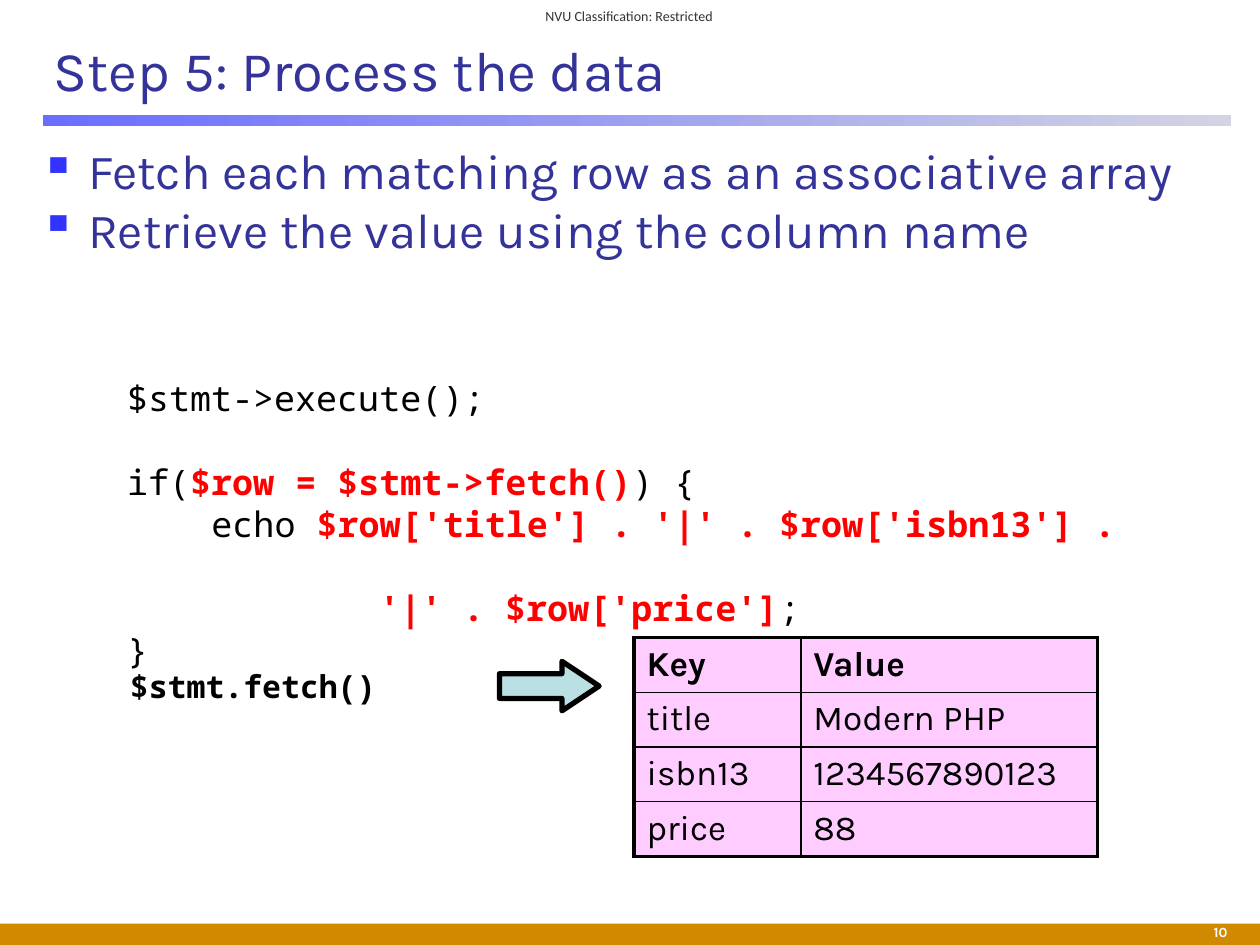
from pptx import Presentation
from pptx.dml.color import RGBColor as RGB
from pptx.enum.shapes import MSO_SHAPE as SHAPE
from pptx.enum.text import MSO_ANCHOR as ANCHOR, PP_ALIGN as ALIGN
from pptx.oxml.ns import qn
from pptx.util import Inches, Pt
from lxml.etree import SubElement as Sub

W, H = Inches(10), Inches(7.5)
INK = {"title": "333399", "bullet": "3333FF", "code": "000000", "hot": "FF0000",
       "foot": "D18A00", "white": "FFFFFF", "mark": "333333", "cell": "FFCCFF",
       "arrow": "BBE0E3", "rule": "6B6EFD", "fade": "D2D3E3"}
SANS, MONO = "Karla", "Noto Sans Mono"
THICK, THIN = 2.25, 1


def area(x, y, w, h):
    """Box from percentages of the slide's size."""
    return [int(W * x / 100), int(H * y / 100), int(W * w / 100), int(H * h / 100)]


def part(box, x, y, w, h):
    """Box inside a box, from percentages of the outer one."""
    left, top, wide, high = box
    return [int(left + wide * x / 100), int(top + high * y / 100),
            int(wide * w / 100), int(high * h / 100)]


def color(name):
    return RGB.from_string(INK[name])


def write(para, text, font=SANS, size=20, ink="code", bold=False):
    run = para.add_run()
    run.text = text
    run.font.name, run.font.size, run.font.bold = font, Pt(size), bold
    run.font.color.rgb = color(ink)


def frame(slide, box, anchor=ANCHOR.TOP, pad=0.05):
    text = slide.shapes.add_textbox(*box).text_frame
    text.word_wrap = True
    text.vertical_anchor = anchor
    text.margin_top = text.margin_bottom = Inches(pad)
    return text


def label(slide, box, text, align=ALIGN.LEFT, anchor=ANCHOR.MIDDLE, pad=0.05, **look):
    para = frame(slide, box, anchor, pad).paragraphs[0]
    para.alignment = align
    write(para, text, **look)
    return para


def lines(text, count):
    """Yield the first paragraph, then new ones."""
    yield text.paragraphs[0]
    for _ in range(count - 1):
        yield text.add_paragraph()


def block(slide, kind, box, ink=None):
    shape = slide.shapes.add_shape(kind, *box)
    shape.shadow.inherit = False
    shape.line.fill.background()
    if ink:
        shape.fill.solid()
        shape.fill.fore_color.rgb = color(ink)
    return shape


def header(slide, box):
    # Classification mark
    label(slide, part(box, 41.8, 0, 16.3, 25), "NVU Classification: Restricted",
          align=ALIGN.CENTER, pad=0, font="Calibri", size=8, ink="mark")
    # Fading rule
    rule = block(slide, SHAPE.RECTANGLE, part(box, 3.4, 91, 94.3, 9))
    rule.fill.gradient()
    rule.fill.gradient_angle = 0
    for stop, ink in zip(rule.fill.gradient_stops, ("rule", "fade")):
        stop.color.rgb = color(ink)
    # Title
    label(slide, part(box, 3.3, 17, 94.2, 75), "Step 5: Process the data",
          size=32, ink="title")


def points(slide, box, items):
    text = frame(slide, box)
    for para, item in zip(lines(text, len(items)), items):
        props = para._p.get_or_add_pPr()
        props.set("marL", str(Inches(0.38)))
        props.set("indent", str(-Inches(0.38)))
        Sub(Sub(props, qn("a:buClr")), qn("a:srgbClr")).set("val", INK["bullet"])
        Sub(props, qn("a:buChar")).set("char", "▪")
        write(para, item, size=28, ink="title")


def code(slide, box):
    # Each row: indent in inches, skipped lines before, (text, is hot) pieces
    rows = [
        (0, 0, [("$stmt->execute();", False)]),
        (0, 1, [("if(", False), ("$row = $stmt->fetch()", True), (") {", False)]),
        (0.67, 0, [("echo ", False),
                   ("$row['title'] . '|' . $row['isbn13'] .", True)]),
        (2, 1, [("'|' . $row['price']", True), (";", False)]),
        (0, 0, [("}", False)]),
    ]
    text = frame(slide, box)
    for para, (indent, skip, parts) in zip(lines(text, len(rows)), rows):
        para._p.get_or_add_pPr().set("marL", str(Inches(indent)))
        para.space_before = Pt(24 * skip)
        for piece, hot in parts:
            write(para, piece, font=MONO, ink="hot" if hot else "code", bold=hot)


def border(cell, sides):
    props = cell._tc.get_or_add_tcPr()
    for at, (side, width) in enumerate(sides.items()):
        line = props.makeelement(qn("a:ln" + side), {"w": str(Pt(width))})
        Sub(Sub(line, qn("a:solidFill")), qn("a:srgbClr")).set("val", INK["code"])
        props.insert(at, line)


def grid(slide, box, data):
    table = slide.shapes.add_table(len(data), 2, *box).table
    table.horz_banding = False
    for col, share in zip(table.columns, (0.36, 0.64)):
        col.width = int(box[2] * share)
    end = len(data) - 1
    for r, row in enumerate(data):
        for c, text in enumerate(row):
            cell = table.cell(r, c)
            cell.fill.solid()
            cell.fill.fore_color.rgb = color("cell")
            write(cell.text_frame.paragraphs[0], text, bold=r == 0)
            outer = {"L": c == 0, "R": c == 1, "T": r == 0, "B": r == end}
            border(cell, {s: THICK if edge else THIN for s, edge in outer.items()})


def result(slide, box):
    # Fetch call
    call = label(slide, part(box, 0, 11, 30.5, 14), "$stmt.fetch", align=ALIGN.CENTER,
                 anchor=ANCHOR.TOP, font=MONO, size=18, bold=True)
    write(call, "()", font="Courier New", size=18, bold=True)
    # Arrow
    arrow = block(slide, SHAPE.RIGHT_ARROW, part(box, 40, 11, 10, 23), "arrow")
    arrow.adjustments[0], arrow.adjustments[1] = 0.5, 0.75
    arrow.line.color.rgb = color("code")
    arrow.line.width = Pt(3)
    # Fetched row
    grid(slide, part(box, 53.5, 0, 46.5, 100),
         [("Key", "Value"), ("title", "Modern PHP"),
          ("isbn13", "1234567890123"), ("price", "88")])


def footer(slide, box):
    block(slide, SHAPE.RECTANGLE, box, "foot")
    label(slide, part(box, 84.2, -100, 14.2, 190), "10", align=ALIGN.RIGHT,
          anchor=ANCHOR.BOTTOM, pad=0.02, size=8, ink="white", bold=True)


def main():
    deck = Presentation()
    deck.slide_width, deck.slide_height = W, H
    slide = deck.slides.add_slide(deck.slide_layouts[6])
    header(slide, area(0, 0, 100, 13.33))
    points(slide, area(2.2, 14.27, 94.2, 24),
           ["Fetch each matching row as an associative array",
            "Retrieve the value using the column name"])
    footer(slide, area(0, 97.75, 100, 2.25))
    result(slide, area(8, 67.47, 79.1, 22.8))
    code(slide, area(9.1, 39.2, 82.1, 18.4))
    deck.save("out.pptx")


if __name__ == "__main__":
    main()
